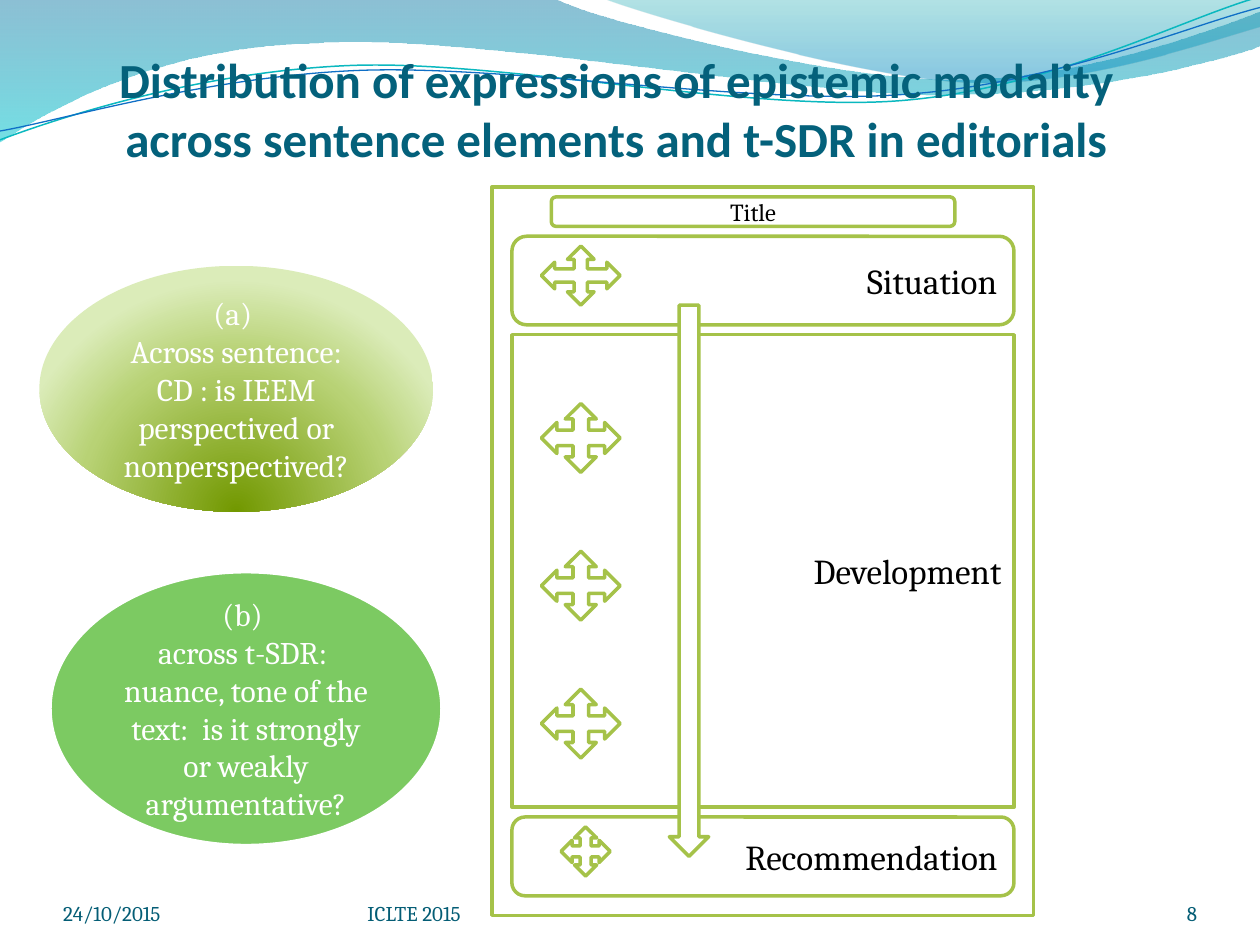
"""Build a slide on how epistemic modality is distributed across editorials."""
import math

from lxml import etree
from pptx import Presentation
from pptx import util as u
from pptx.dml.color import RGBColor
from pptx.enum import shapes, text
from pptx.oxml import ns

Pt = u.Pt
KIND = shapes.MSO_SHAPE
ALIGN = text.PP_ALIGN
ANCHOR = text.MSO_ANCHOR
LIME = "A5C249"
WHITE = "FFFFFF"
FOOTER = "045D75"


def paint(shape, fill=None, line=None, width=2):
    """Set solid fill and outline from hex strings, and drop the theme shadow."""
    shape.shadow.inherit = False
    for part, colour in ((shape.fill, fill), (shape.line.fill, line)):
        if colour:
            part.solid()
            part.fore_color.rgb = RGBColor.from_string(colour)
        else:
            part.background()
    if line:
        shape.line.width = Pt(width)


def blend(shape, stops, direction):
    """Replace an empty fill by a gradient of (position, colour, opacity) stops."""
    marks = "".join(
        f'<a:gs pos="{place * 1000}"><a:srgbClr val="{colour}">'
        f'<a:alpha val="{opacity * 1000}"/></a:srgbClr></a:gs>'
        for place, colour, opacity in stops)
    properties = shape._element.spPr
    properties.replace(properties.find(ns.qn("a:noFill")), etree.fromstring(
        f'<a:gradFill {ns.nsdecls("a")} rotWithShape="1">'
        f"<a:gsLst>{marks}</a:gsLst>{direction}</a:gradFill>"))


deck = Presentation()
deck.slide_width, deck.slide_height = Pt(720), Pt(540)
page = deck.slides.add_slide(deck.slide_layouts[5])

waves = [
    ([(0, 0), (4.4, -0.01), (4.76, 0.17, 6.64, 0.63, 7.58, 0.63),
      (8.53, 0.63, 9.58, 0.26, 10, 0.09), (10.01, 0.36),
      (9.83, 0.44, 8.7, 0.76, 7.46, 0.75), (6.22, 0.75, 3.82, 0.28, 2.57, 0.34),
      (1.29, 0.36, 0.46, 0.83, -0.01, 1.13)],
     [(0, "0074A1", 45), (100, "00C6CF", 55)], None, 0, 0, (0, 0)),
    ([(4.79, -0.01), (5.09, 0.11, 6.82, 0.62, 7.69, 0.65),
      (8.56, 0.69, 9.61, 0.32, 10, 0.21), (10, 0)],
     [(0, "00A1A9", 30), (80, "008BBF", 45)], None, 0, 0, (0, 0)),
    ([(0, 1.11), (0.48, 0.93, 1.58, 0.57, 2.77, 0.52),
      (3.95, 0.47, 5.93, 0.89, 7.13, 0.8), (8.33, 0.71, 9.38, 0.15, 9.98, -0.02)],
     None, "0AB8BF", 0.85, -2.7, (4.99, 0.58)),
    ([(0, 1.04), (0.47, 0.96, 1.64, 0.61, 2.83, 0.56),
      (4.03, 0.51, 5.97, 0.84, 7.17, 0.75), (8.36, 0.67, 9.41, 0.21, 10, 0.06)],
     None, "0F6FC6", 0.75, -2.7, (5, 0.59)),
]
for steps, stops, line, width, turn, (middle_x, middle_y) in waves:
    sine, cosine = math.sin(math.radians(-turn)), math.cos(math.radians(-turn))
    corners = []
    for step in steps:
        for x, y in zip(step[::2], step[1::2]):
            across, down = x - middle_x, y - middle_y
            corners.append((Pt(72 * (middle_x + across * cosine - down * sine)),
                            Pt(72 * (middle_y + across * sine + down * cosine))))
    builder = page.shapes.build_freeform(*corners[0])
    builder.add_line_segments(corners[1:], close=bool(stops))
    wave = builder.convert_to_shape()
    segments = iter(list(wave._element.iter(ns.qn("a:lnTo"))))
    for step in steps[1:]:
        segment = next(segments)
        if len(step) == 6:
            segment.tag = ns.qn("a:cubicBezTo")
            for _ in range(2):
                handle = next(segments)
                segment.append(handle[0])
                handle.getparent().remove(handle)
    wave.rotation = turn
    paint(wave, None, line, width)
    if stops:
        blend(wave, stops, '<a:lin ang="5400000" scaled="0"/>')

title = page.shapes.title
page.shapes._spTree.append(title._element)
places = {"left": 28, "top": 22.3, "width": 648, "height": 73.4}
for name, value in places.items():
    setattr(title, name, Pt(value))

frame = page.shapes.add_shape(KIND.RECTANGLE, Pt(281.25), Pt(106.88), Pt(309.38), Pt(416.25))
paint(frame, WHITE, LIME)

labelled = [(title, ["Distribution of expressions of epistemic modality\v"
                     "across sentence elements and t-SDR in editorials"],
             28, "04617B", ALIGN.CENTER, ANCHOR.BOTTOM, (0, 3.6, 0, 0))]
inset = (7.2, 3.6, 7.2, 3.6)

sections = [
    ("Title", KIND.ROUNDED_RECTANGLE, 315, 112.5, 230.6, 16.9, 14, ALIGN.CENTER),
    ("Situation", KIND.ROUNDED_RECTANGLE, 292.5, 135, 286.9, 50.6, 20, ALIGN.RIGHT),
    ("Development", KIND.RECTANGLE, 292.5, 191.25, 286.9, 270, 20, ALIGN.RIGHT),
    ("Recommendation", KIND.ROUNDED_RECTANGLE, 292.5, 466.9, 286.9, 45, 20, ALIGN.RIGHT),
]
for words, kind, left, top, width, height, size, align in sections:
    box = page.shapes.add_shape(kind, Pt(left), Pt(top), Pt(width), Pt(height))
    paint(box, WHITE, LIME)
    labelled.append((box, [words], size, "000000", align, ANCHOR.MIDDLE, inset))

arrows = [(KIND.DOWN_ARROW, 382.5, 174.4, 22.5, 315)]
arrows += [(KIND.QUAD_ARROW, 309.4, top, 45, height)
           for top, height in ((140.6, 33.8), (230.6, 39.4), (315, 39.4), (393.8, 39.4))]
arrows.append((KIND.QUAD_ARROW, 320.6, 472.5, 28.1, 28.1))
for kind, *place in arrows:
    paint(page.shapes.add_shape(kind, *map(Pt, place)), WHITE, LIME)

questions = [
    (["(a) ", "Across sentence: CD : is IEEM perspectived or nonperspectived?"],
     (22.5, 151.9, 225, 140.6), None, None),
    (["(b) ", "across t-SDR:  nuance, tone of the text:  is it strongly or weakly "
      "argumentative?"],
     (28.1, 326.2, 225, 157.5), "7CCA62", WHITE),
]
for words, place, fill, line in questions:
    oval = page.shapes.add_shape(KIND.OVAL, *map(Pt, place))
    paint(oval, fill, line, 3)
    if not fill:
        blend(oval, [(0, "729800", 100), (68, "B8D275", 100), (100, "DBECB9", 100)],
              '<a:path path="circle"><a:fillToRect l="50000" t="130000" '
              'r="50000" b="-30000"/></a:path>')
    labelled.append((oval, words, 18, WHITE, ALIGN.CENTER, ANCHOR.MIDDLE, inset))

footers = [("24/10/2015", 36, 168, ALIGN.LEFT), ("8", 624, 60, ALIGN.RIGHT),
           ("ICLTE 2015", 210, 264, ALIGN.LEFT)]
for words, left, width, align in footers:
    box = page.shapes.add_textbox(Pt(left), Pt(500.5), Pt(width), Pt(28.75))
    labelled.append((box, [words], 12, FOOTER, align, ANCHOR.BOTTOM, (0, 0, 0, 0)))

for shape, lines, size, colour, align, anchor, margins in labelled:
    frame = shape.text_frame
    layout = {"word_wrap": True, "auto_size": text.MSO_AUTO_SIZE.NONE,
              "vertical_anchor": anchor}
    sides = ("margin_left", "margin_top", "margin_right", "margin_bottom")
    layout.update(zip(sides, map(Pt, margins)))
    for name, value in layout.items():
        setattr(frame, name, value)
    frame.text = "\n".join(lines)
    is_title = shape is title
    style = {"size": Pt(size), "bold": is_title,
             "name": "Calibri" if is_title else "Cambria"}
    for para in frame.paragraphs:
        para.alignment = align
        for span in para.runs:
            for name, value in style.items():
                setattr(span.font, name, value)
            span.font.color.rgb = RGBColor.from_string(colour)

deck.save("out.pptx")
